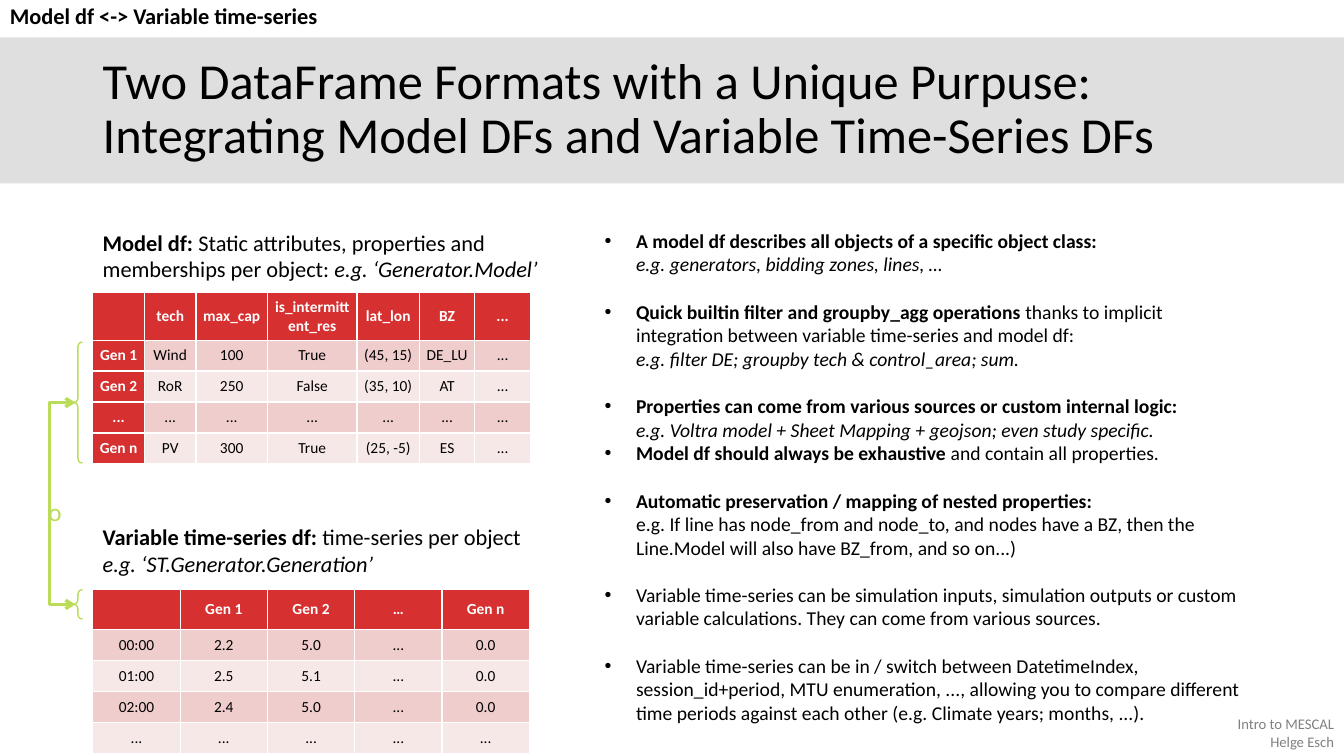
from lxml import etree
from pptx import Presentation
from pptx.dml.color import RGBColor
from pptx.enum.shapes import MSO_SHAPE
from pptx.enum.text import MSO_ANCHOR, PP_ALIGN
from pptx.oxml.ns import qn
from pptx.util import Cm, Pt

LEFT, CENTER, RIGHT = PP_ALIGN.LEFT, PP_ALIGN.CENTER, PP_ALIGN.RIGHT
TOP, MIDDLE = MSO_ANCHOR.TOP, MSO_ANCHOR.MIDDLE
FONT = "Calibri"
BLACK, WHITE, GREY, BAND_GREY = "000000", "FFFFFF", "808080", "DFDFDF"
RED, ROW_TINTS, GREEN = "D63030", ("F0CDCD", "F7E8E8"), "BADC58"

# Content: each run is (text, style), b = bold, i = italic
TITLE = ("Two DataFrame Formats with a Unique Purpuse: "
         "Integrating Model DFs and Variable Time-Series DFs")
TOPIC = "Model df <-> Variable time-series"
FOOTER = [("Intro to MESCAL\n", ""), ("Helge Esch", "")]
MODEL_CAPTION = [
    ("Model df: ", "b"),
    ("Static attributes, properties and memberships per object:", ""),
    (" e.g. ‘Generator.Model’", "i"),
]
SERIES_CAPTION = [
    ("Variable time-series df: ", "b"),
    ("time-series per object\n", ""),
    ("e.g. ‘ST.Generator.Generation’", "i"),
]
MODEL_ROWS = [
    ["", "tech", "max_cap", "is_intermittent_res", "lat_lon", "BZ", "..."],
    ["Gen 1", "Wind", "100", "True", "(45, 15)", "DE_LU", "..."],
    ["Gen 2", "RoR", "250", "False", "(35, 10)", "AT", "..."],
    ["..."] * 7,
    ["Gen n", "PV", "300", "True", "(25, -5)", "ES", "..."],
]
MODEL_WIDTHS = [1.3, 1.3, 1.8, 2.26, 1.57, 1.4, 1.4]
SERIES_ROWS = [
    ["", "Gen 1", "Gen 2", "…", "Gen n"],
    ["00:00", "2.2", "5.0", "...", "0.0"],
    ["01:00", "2.5", "5.1", "...", "0.0"],
    ["02:00", "2.4", "5.0", "...", "0.0"],
    ["..."] * 5,
]
SERIES_WIDTHS = [2.2] * 5
# Each bullet: runs, space after in points
BULLETS = [
    ([("A model df describes all objects of a specific object class:\n", "b"),
      ("e.g. generators, bidding zones, lines, …", "i")], 17),
    ([("Quick builtin filter and groupby_agg operations ", "b"),
      ("thanks to implicit integration between variable time-series and model df:\n", ""),
      ("e.g. filter DE; groupby tech & control_area; sum.", "i")], 17),
    ([("Properties can come from various sources or custom internal logic:\n", "b"),
      ("e.g. Voltra model + Sheet Mapping + geojson; even study specific.", "i")], 0),
    ([("Model df should always be exhaustive ", "b"),
      ("and contain all properties.", "")], 17),
    ([("Automatic preservation / mapping of nested properties:\n", "b"),
      ("e.g. If line has node_from and node_to, and nodes have a BZ, then the "
       "Line.Model will also have BZ_from, and so on...)", "")], 17),
    ([("Variable time-series can be simulation inputs, simulation outputs or custom "
       "variable calculations. They can come from various sources.", "")], 17),
    ([("Variable time-series can be in / switch between DatetimeIndex, "
       "session_id+period, MTU enumeration, ..., allowing you to compare different "
       "time periods against each other (e.g. Climate years; months, ...).", "")], 0),
]


def color(hex_string):
    return RGBColor.from_string(hex_string)


def add_runs(paragraph, runs, size, hex_color):
    for text, style in runs:
        run = paragraph.add_run()
        run.text = text.rstrip("\n")
        font = run.font
        font.name, font.size = FONT, Pt(size)
        font.bold, font.italic = "b" in style, "i" in style
        font.color.rgb = color(hex_color)
        if text.endswith("\n"):
            paragraph.add_line_break()


def add_text(box, runs, size, hex_color=BLACK, align=LEFT, anchor=TOP, spacing=1.0):
    frame = slide.shapes.add_textbox(*map(Cm, box)).text_frame
    frame.word_wrap = True
    frame.vertical_anchor = anchor
    paragraph = frame.paragraphs[0]
    paragraph.alignment, paragraph.line_spacing = align, spacing
    add_runs(paragraph, runs, size, hex_color)


def add_bullets(box, bullets, size):
    frame = slide.shapes.add_textbox(*map(Cm, box)).text_frame
    frame.word_wrap = True
    for index, (runs, space_after) in enumerate(bullets):
        paragraph = frame.add_paragraph() if index else frame.paragraphs[0]
        paragraph.space_after = Pt(space_after)
        properties = paragraph._p.get_or_add_pPr()
        properties.set("marL", str(Cm(0.79)))
        properties.set("indent", str(-Cm(0.79)))
        etree.SubElement(properties, qn("a:buFont")).set("typeface", "Arial")
        etree.SubElement(properties, qn("a:buChar")).set("char", "•")
        add_runs(paragraph, runs, size, BLACK)


def add_data_table(left, top, rows, widths, header_height, header_column):
    heights = [header_height] + [ROW_HEIGHT] * (len(rows) - 1)
    table = slide.shapes.add_table(
        len(rows), len(widths), Cm(left), Cm(top), Cm(sum(widths)), Cm(sum(heights))).table
    for column, width in zip(table.columns, widths):
        column.width = Cm(width)
    for r, values in enumerate(rows):
        table.rows[r].height = Cm(heights[r])
        for c, value in enumerate(values):
            cell = table.cell(r, c)
            is_header = r == 0 or (header_column and c == 0)
            cell.fill.solid()
            cell.fill.fore_color.rgb = color(RED if is_header else ROW_TINTS[(r - 1) % 2])
            cell.vertical_anchor = MIDDLE
            cell.margin_left = cell.margin_right = Cm(0.13)
            cell.margin_top = cell.margin_bottom = Cm(0.13)
            paragraph = cell.text_frame.paragraphs[0]
            paragraph.alignment = CENTER
            if value:
                add_runs(paragraph, [(value, "b" if is_header else "")], 11,
                         WHITE if is_header else BLACK)


def outline(shape, width):
    shape.shadow.inherit = False
    shape.fill.background()
    shape.line.color.rgb = color(GREEN)
    shape.line.width = Pt(width)


presentation = Presentation()
presentation.slide_width, presentation.slide_height = Cm(33.87), Cm(19.05)
slide = presentation.slides.add_slide(presentation.slide_layouts[6])

# Title band, topic and footer
TITLE_TOP, TITLE_HEIGHT = 0.94, 3.68
band = slide.shapes.add_shape(
    MSO_SHAPE.RECTANGLE, 0, Cm(TITLE_TOP), presentation.slide_width, Cm(TITLE_HEIGHT))
band.shadow.inherit = False
band.fill.solid()
band.fill.fore_color.rgb = color(BAND_GREY)
band.line.fill.background()
add_text((28.3, 17.9, 5.57, 1.15), FOOTER, 10.5, GREY, RIGHT)
COLUMN_LEFT = 2.34
add_text((COLUMN_LEFT, TITLE_TOP, 29.2, TITLE_HEIGHT), [(TITLE, "")], 36,
         anchor=MIDDLE, spacing=0.9)
add_text((0, 0, 8.4, 0.82), [(TOPIC, "b")], 16, spacing=0.9)

# Tables with captions
ROW_HEIGHT = 0.78
add_data_table(COLUMN_LEFT, 7.37, MODEL_ROWS, MODEL_WIDTHS, 1.2, True)
add_text((COLUMN_LEFT, 5.64, 11.89, 1.62), MODEL_CAPTION, 16)
add_data_table(COLUMN_LEFT, 14.84, SERIES_ROWS, SERIES_WIDTHS, ROW_HEIGHT, False)
add_text((COLUMN_LEFT, 13.06, 11.25, 1.62), SERIES_CAPTION, 16)

# Explanations
add_bullets((14.99, 5.64, 16.56, 12.83), BULLETS, 14)

# Braces joined by a double arrow
BRACE_LEFT, BRACE_WIDTH = 1.85, 0.23
BRACES = [(8.62, 3.05), (14.86, 0.74)]
for top, height in BRACES:
    brace = slide.shapes.add_shape(
        MSO_SHAPE.LEFT_BRACE, Cm(BRACE_LEFT), Cm(top), Cm(BRACE_WIDTH), Cm(height))
    brace.adjustments[0] = 0.49
    outline(brace, 1)

upper, lower = [Cm(top + height / 2) for top, height in BRACES]
tip, bend = Cm(1.9), Cm(1.24)
builder = slide.shapes.build_freeform(tip, upper)
builder.add_line_segments([(bend, upper), (bend, lower), (tip, lower)], close=False)
link = builder.convert_to_shape()
outline(link, 2.25)
for end in ("a:headEnd", "a:tailEnd"):
    etree.SubElement(link.line._get_or_add_ln(), qn(end)).set("type", "arrow")
add_text((0.97, 12.37, 0.84, 1.02), [("o", "")], 18, GREEN, CENTER)

presentation.save("out.pptx")
